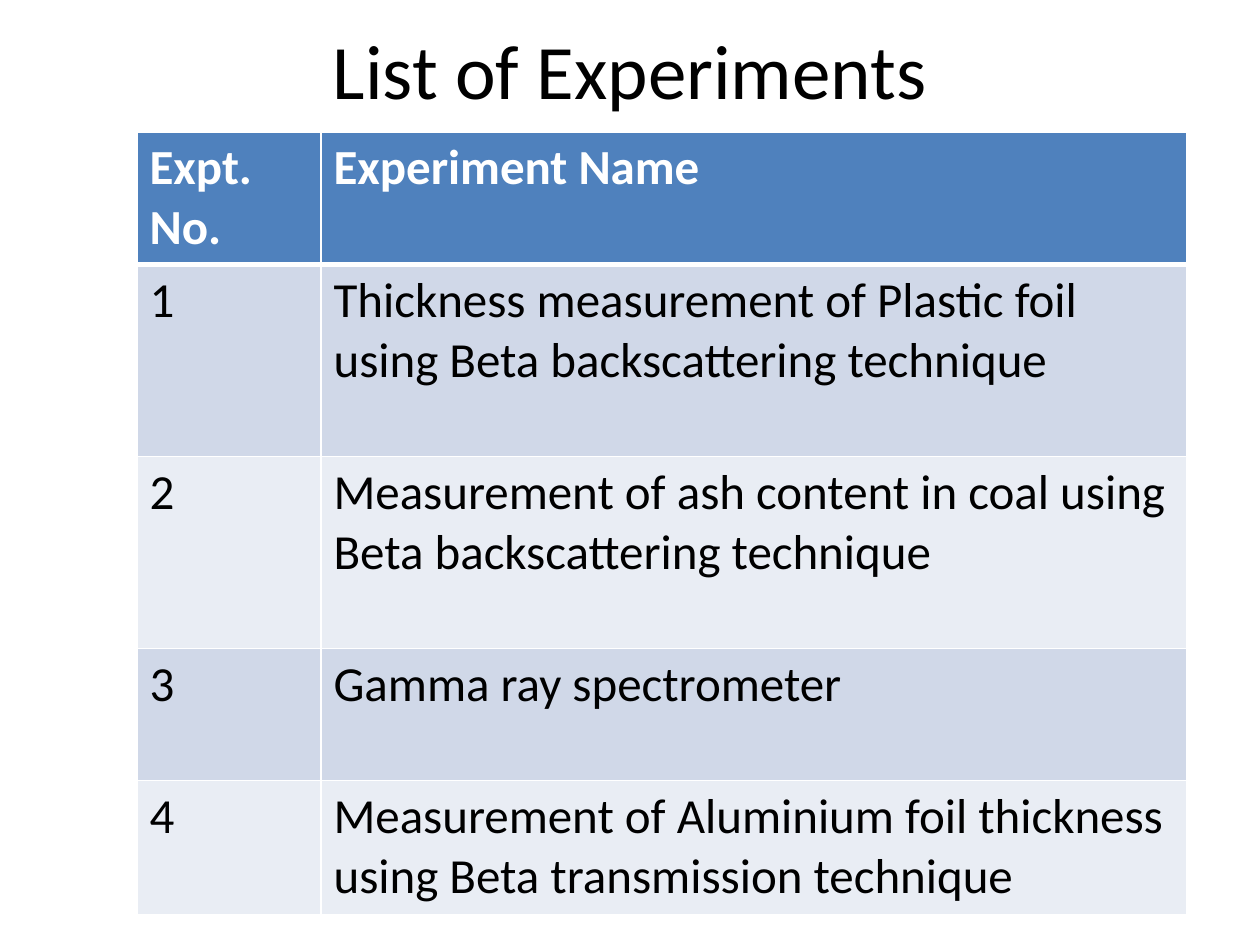
from typing import NamedTuple

from lxml import etree
from pptx import Presentation
from pptx.dml.color import RGBColor
from pptx.enum.text import MSO_ANCHOR, PP_ALIGN
from pptx.oxml.ns import qn
from pptx.util import Emu, Pt

MIDDLE = MSO_ANCHOR.MIDDLE
CENTER, LEFT = PP_ALIGN.CENTER, PP_ALIGN.LEFT
SCALE = 914400 / 126  # EMU in one px
FONT = "Calibri"
COLORS = {
    "ink": "000000",
    "white": "FFFFFF",
    "head": "4F81BD",
    "odd": "D0D8E8",
    "even": "E9EDF4",
}


class Row(NamedTuple):
    num: str
    name: str
    height: int


HEAD = Row("Expt. No.", "Experiment Name", 132)
ROWS = [
    Row("1", "Thickness measurement of Plastic foil using Beta backscattering technique", 192),
    Row("2", "Measurement of ash content in coal using Beta backscattering technique", 192),
    Row("3", "Gamma ray spectrometer", 132),
    Row("4", "Measurement of Aluminium foil thickness using Beta transmission technique", 134),
]
WIDTHS = (184, 866)


def px(num: int) -> Emu:
    return Emu(round(num * SCALE))


def color(key: str) -> RGBColor:
    return RGBColor.from_string(COLORS[key])


def write(frame, text: str, size: int, ink: str, bold: bool, align) -> None:
    para = frame.paragraphs[0]
    para.alignment = align
    run = para.add_run()
    run.text = text
    font = run.font
    font.name, font.size, font.bold = FONT, Pt(size), bold
    font.color.rgb = color(ink)


def edge(cell, side: str, width: int) -> None:
    line = etree.SubElement(cell._tc.get_or_add_tcPr(), qn(f"a:ln{side}"), w=str(Pt(width)))
    fill = etree.SubElement(line, qn("a:solidFill"))
    etree.SubElement(fill, qn("a:srgbClr"), val=COLORS["white"])


def draw_cell(cell, text: str, row: int) -> None:
    # Borders come before the fill; the rule under the heading is thicker
    for side in "LRTB":
        thick = (row, side) in ((0, "B"), (1, "T"))
        edge(cell, side, 3 if thick else 1)
    top = row == 0
    band = "head" if top else "odd" if row % 2 else "even"
    cell.fill.solid()
    cell.fill.fore_color.rgb = color(band)
    write(cell.text_frame, text, 28, "white" if top else "ink", top, LEFT)


def draw_table(slide, rows: list[Row], left: int, top: int) -> None:
    high = sum(row.height for row in rows)
    grid = slide.shapes.add_table(
        len(rows), len(WIDTHS), px(left), px(top), px(sum(WIDTHS)), px(high)
    ).table
    for col, width in zip(grid.columns, WIDTHS):
        col.width = px(width)
    for i, row in enumerate(rows):
        grid.rows[i].height = px(row.height)
        for j, text in enumerate((row.num, row.name)):
            draw_cell(grid.cell(i, j), text, i)


def draw_title(slide, text: str) -> None:
    title = slide.shapes.title
    title.left, title.top = px(63), px(-10)
    title.width, title.height = px(1134), px(158)
    title.text_frame.vertical_anchor = MIDDLE
    write(title.text_frame, text, 44, "ink", False, CENTER)


def main() -> None:
    deck = Presentation()
    deck.slide_width, deck.slide_height = px(1260), px(945)
    slide = deck.slides.add_slide(deck.slide_layouts[5])
    draw_title(slide, "List of Experiments")
    draw_table(slide, [HEAD, *ROWS], 137, 132)
    deck.save("out.pptx")


if __name__ == "__main__":
    main()
